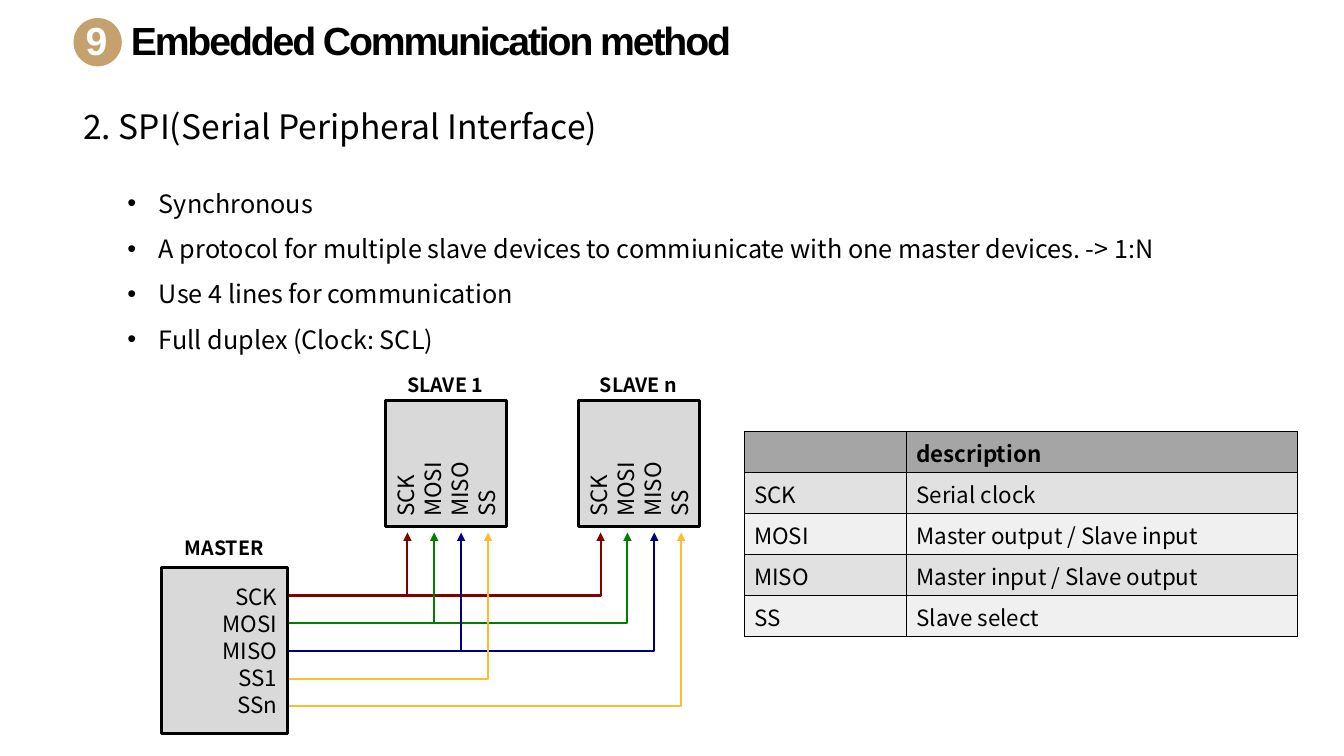
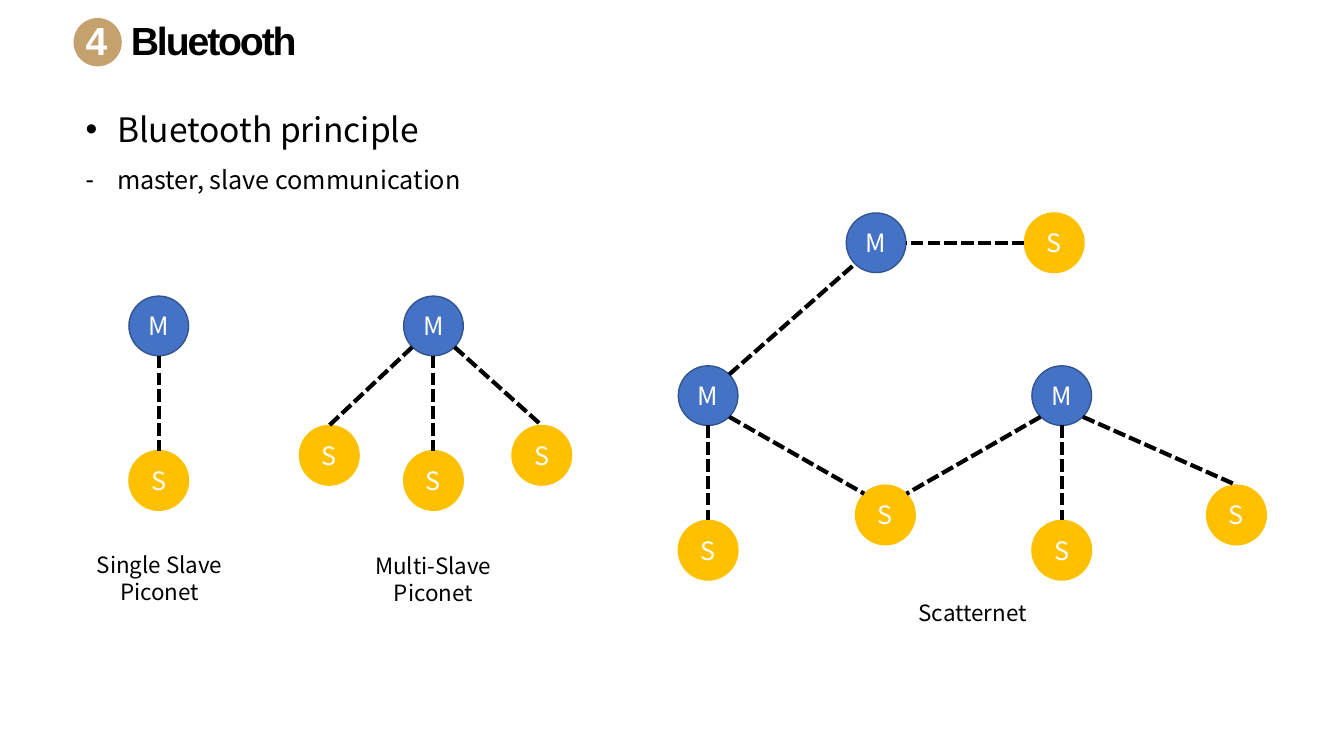
from lxml import etree
from pptx import Presentation
from pptx.dml.color import RGBColor
from pptx.enum.dml import MSO_LINE
from pptx.enum.shapes import MSO_CONNECTOR, MSO_SHAPE
from pptx.enum.text import MSO_ANCHOR, MSO_AUTO_SIZE, PP_ALIGN
from pptx.oxml.ns import qn
from pptx.util import Inches, Pt

LEFT, MID, RIGHT = PP_ALIGN.LEFT, PP_ALIGN.CENTER, PP_ALIGN.RIGHT
RECT, OVAL = MSO_SHAPE.RECTANGLE, MSO_SHAPE.OVAL
LINE, ELBOW = MSO_CONNECTOR.STRAIGHT, MSO_CONNECTOR.ELBOW
DASH = MSO_LINE.SQUARE_DOT

HUES = {
    "ink": "000000", "paper": "FFFFFF", "badge": "C5A16D", "chip": "D9D9D9",
    "head": "A5A5A5", "odd": "E1E1E1", "even": "F0F0F0",
    "red": "810000", "green": "008000", "navy": "00007A", "amber": "FFBC2B",
    "blue": "4472C4", "rim": "325491", "gold": "FFC000",
}
SANS, BODY = "Arial", "Noto Sans CJK KR"
COLS, ROWS = 160, 90
WIDE, HIGH = Inches(13.3333), Inches(7.5)


def hue(name):
    return RGBColor.from_string(HUES[name])


def across(cols):
    return round(WIDE * cols / COLS)


def down(rows):
    return round(HIGH * rows / ROWS)


def place(x, y, w, h):
    return across(x), down(y), across(w), down(h)


def sub(node, tag, **attrs):
    return etree.SubElement(node, qn(tag), attrs)


def write(frame, text, size=18, face=BODY, color="ink", bold=False,
          align=LEFT, lead=None, mark=None, track=0):
    """Append each line of text to the frame as a paragraph."""
    for line in text.split("\n"):
        para = frame.add_paragraph() if frame.text else frame.paragraphs[0]
        para.alignment = align
        if lead:
            para.line_spacing = lead
        if mark:
            props = para._p.get_or_add_pPr()
            step = across(3.75)
            props.set("marL", str(step))
            props.set("indent", str(-step))
            sub(props, "a:buFont", typeface=SANS)
            sub(props, "a:buChar", char=mark)
        run = para.add_run()
        run.text = line
        font = run.font
        font.size, font.bold, font.name = Pt(size), bold, face
        font.color.rgb = hue(color)
        props = run._r.get_or_add_rPr()
        sub(props, "a:ea", typeface=face)
        if track:
            props.set("spc", str(round(track * 100)))


class Deck:
    def __init__(self):
        self.show = Presentation()
        self.show.slide_width, self.show.slide_height = WIDE, HIGH
        self.slide = self.home = None

    def page(self, num, title):
        self.slide = self.show.slides.add_slide(self.show.slide_layouts[6])
        self.group()
        self.shape(OVAL, 8.75, 2.15, 5.75, 5.75, "badge")
        self.text(9, 1.3, 5, 6.85, num, wrap=False, size=28, face=SANS,
                  color="paper", bold=True, align=MID, track=-1)
        self.loose()
        self.text(14.4, 1.3, 85, 6.85, title, size=28, face=SANS,
                  bold=True, track=-1.5)

    def group(self):
        self.home = self.slide.shapes.add_group_shape().shapes

    def loose(self):
        """Put what follows straight on the slide."""
        self.home = self.slide.shapes

    def text(self, x, y, w, h, text, wrap=True, **form):
        frame = self.home.add_textbox(*place(x, y, w, h)).text_frame
        frame.word_wrap = wrap
        frame.auto_size = MSO_AUTO_SIZE.SHAPE_TO_FIT_TEXT
        write(frame, text, **form)
        return frame

    def shape(self, kind, x, y, w, h, fill, edge=None, thick=1, text="", turn=0,
              **form):
        item = self.home.add_shape(kind, *place(x, y, w, h))
        item.shadow.inherit = False
        item.rotation = turn
        item.fill.solid()
        item.fill.fore_color.rgb = hue(fill)
        if edge:
            item.line.color.rgb = hue(edge)
            item.line.width = Pt(thick)
        else:
            item.line.fill.background()
        if text:
            item.text_frame.vertical_anchor = MSO_ANCHOR.MIDDLE
            write(item.text_frame, text, **form)

    def link(self, kind, start, end, color, thick):
        ends = [f(n) for point in (start, end)
                for f, n in zip((across, down), point)]
        item = self.home.add_connector(kind, *ends)
        item.line.color.rgb = hue(color)
        item.line.width = Pt(thick)
        sub(item._element.spPr, "a:effectLst")
        return item

    def wire(self, start, end, color):
        """Run level, turn once below the end, and rise to an arrowhead."""
        props = self.link(ELBOW, start, end, color, 1.5)._element.spPr
        bend = props.find(qn("a:prstGeom")).find(qn("a:avLst"))
        sub(bend, "a:gd", name="adj1", fmla="val 100000")
        sub(props.find(qn("a:ln")), "a:tailEnd", type="triangle")

    def dash(self, start, end):
        self.link(LINE, start, end, "ink", 3).line.dash_style = DASH

    def table(self, x, y, cols, row, data):
        size = place(x, y, sum(cols), row * len(data))
        frame = self.home.add_table(len(data), len(cols), *size)
        grid = frame.table
        for col, wide in zip(grid.columns, cols):
            col.width = across(wide)
        for r, line in enumerate(data):
            grid.rows[r].height = down(row)
            fill = "head" if r == 0 else "odd" if r % 2 else "even"
            for c, text in enumerate(line):
                self.cell(grid.cell(r, c), text, fill, r == 0)

    def cell(self, cell, text, fill, bold):
        cell.fill.solid()
        cell.fill.fore_color.rgb = hue(fill)
        if text:
            write(cell.text_frame, text, size=16, bold=bold)
        props = cell._tc.get_or_add_tcPr()
        for at, side in enumerate("LRTB"):
            edge = sub(props, "a:ln" + side, w=str(Pt(1)))
            sub(sub(edge, "a:solidFill"), "a:srgbClr", val=HUES["ink"])
            props.insert(at, edge)


def spi(deck):
    deck.page("9", "Embedded Communication method")
    deck.text(8.75, 12, 142.5, 6, "2. SPI(Serial Peripheral Interface)", size=24)
    deck.text(14, 20, 134.25, 22.3,
              "Synchronous\n"
              "A protocol for multiple slave devices to commiunicate with one"
              " master devices. -> 1:N\n"
              "Use 4 lines for communication\n"
              "Full duplex (Clock: SCL)", lead=1.5, mark="•")

    deck.group()
    chip = dict(fill="chip", edge="ink", thick=2.25, size=16)
    label = dict(size=14, bold=True, align=MID, lead=1.5)
    gap = 23
    for k, name in enumerate(("SLAVE 1", "SLAVE n")):
        deck.shape(RECT, 45.6 + gap * k, 48, 15, 14.4, turn=270,
                   text="SCK\nMOSI\nMISO\nSS", **chip)
        deck.text(45.4 + gap * k, 42.4, 15.2, 4.9, name, **label)
    deck.text(19.1, 61.8, 15.2, 4.9, "MASTER", **label)
    for pin, color in enumerate(("red", "green", "navy", "amber")):
        for k in range(2):
            level = pin + k if color == "amber" else pin
            deck.wire((34.2, 70.9 + 3.3 * level),
                      (48.5 + 3.2 * pin + gap * k, 63.4), color)
    deck.shape(RECT, 19.2, 67.6, 15, 19.7, align=RIGHT,
               text="SCK\nMOSI\nMISO\nSS1\nSSn", **chip)

    deck.loose()
    deck.table(88.6, 51.4, (19.3, 46.6), 4.88, (
        ("", "description"),
        ("SCK", "Serial clock"),
        ("MOSI", "Master output / Slave input"),
        ("MISO", "Master input / Slave output"),
        ("SS", "Slave select"),
    ))


def nets(deck):
    deck.page("4", "Bluetooth")
    frame = deck.text(9, 10, 141.7, 13.2, "Bluetooth principle", size=24,
                      lead=1.5, mark="•")
    write(frame, "master, slave communication", lead=1.5, mark="-")

    size = 7.1
    spots = {
        "M single": (18.9, 38.8), "S single": (18.9, 57.2),
        "M multi": (51.6, 38.8), "S mid": (51.6, 57.2),
        "S left": (39.2, 54.2), "S right": (64.5, 54.2),
        "M west": (84.3, 47.1), "S west": (84.3, 65.5),
        "M north": (104.3, 28.9), "S north": (125.5, 28.9),
        "S shared": (105.4, 61.3),
        "M east": (126.4, 47.1), "S east": (126.4, 65.5),
        "S far": (147.2, 61.3),
    }
    looks = {"M": ("blue", "rim"), "S": ("gold", "gold")}
    for name, (x, y) in spots.items():
        deck.shape(OVAL, x - size / 2, y - size / 2, size, size,
                   *looks[name[0]], text=name[0], color="paper", align=MID)

    slant = 0.71
    sides = {
        "n": (0, -1), "s": (0, 1), "w": (-1, 0), "e": (1, 0),
        "nw": (-slant, -slant), "ne": (slant, -slant),
        "sw": (-slant, slant), "se": (slant, slant),
    }

    def rim(name, side):
        """Point on the edge of a disc, by compass side."""
        return [mid + size / 2 * way for mid, way in zip(spots[name], sides[side])]

    for a, out, b, into in (
        ("M single", "s", "S single", "n"),
        ("M multi", "s", "S mid", "n"),
        ("M multi", "sw", "S left", "n"),
        ("M multi", "se", "S right", "n"),
        ("M west", "s", "S west", "n"),
        ("M west", "se", "S shared", "nw"),
        ("M west", "ne", "M north", "sw"),
        ("S north", "w", "M north", "e"),
        ("M east", "sw", "S shared", "ne"),
        ("M east", "s", "S east", "n"),
        ("M east", "se", "S far", "n"),
    ):
        deck.dash(rim(a, out), rim(b, into))

    for x, y, h, text in (
        (7, 65, 7.7, "Single Slave Piconet"),
        (39.6, 65.2, 7.7, "Multi-Slave Piconet"),
        (103.8, 70.7, 4.4, "Scatternet"),
    ):
        deck.text(x, y, 24, h, text, size=16, align=MID)


def main():
    deck = Deck()
    spi(deck)
    nets(deck)
    deck.show.save("out.pptx")


if __name__ == "__main__":
    main()
